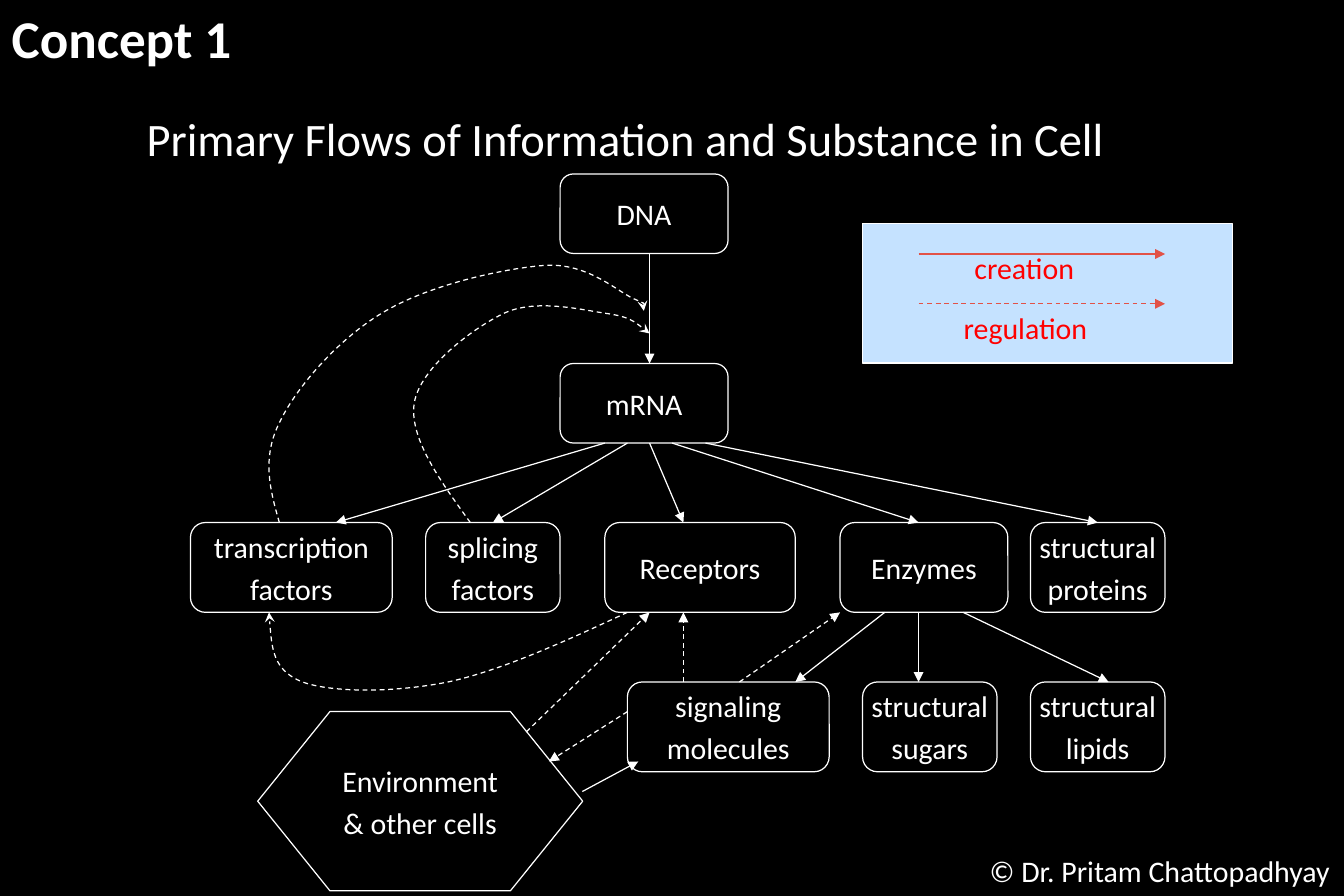
from lxml.etree import SubElement
from pptx import Presentation
from pptx.dml.color import RGBColor
from pptx.enum.dml import MSO_LINE
from pptx.enum.shapes import MSO_CONNECTOR, MSO_SHAPE
from pptx.enum.text import MSO_ANCHOR, PP_ALIGN
from pptx.oxml.ns import qn
from pptx.util import Cm, Pt

BLACK = RGBColor(0x00, 0x00, 0x00)
WHITE = RGBColor(0xFF, 0xFF, 0xFF)
RED = RGBColor(0xFF, 0x00, 0x00)
CORAL = RGBColor(0xE2, 0x52, 0x47)
PALE_BLUE = RGBColor(0xC5, 0xE2, 0xFF)


def write_text(shape, lines, size=18, color=WHITE, alignment=PP_ALIGN.CENTER, bold=False):
    frame = shape.text_frame
    frame.word_wrap = False
    for index, line in enumerate(lines):
        paragraph = frame.add_paragraph() if index else frame.paragraphs[0]
        paragraph.alignment = alignment
        if index:
            paragraph.space_before = Pt(size * 0.2)
        run = paragraph.add_run()
        run.text = line
        run.font.name = "Calibri"
        run.font.size = Pt(size)
        run.font.bold = bold
        run.font.color.rgb = color


def style_line(shape, color=WHITE, dashed=False, arrowhead=None):
    shape.line.color.rgb = color
    shape.line.width = Pt(0.75)
    if dashed:
        shape.line.dash_style = MSO_LINE.DASH
    if arrowhead:
        SubElement(shape.line._get_or_add_ln(), qn("a:tailEnd"), type=arrowhead)


presentation = Presentation()
presentation.slide_width = Cm(28.575)
presentation.slide_height = Cm(19.05)
slide = presentation.slides.add_slide(presentation.slide_layouts[6])
slide.background.fill.solid()
slide.background.fill.fore_color.rgb = BLACK

DNA_TOP, MRNA_TOP, PRODUCT_TOP, SUBSTANCE_TOP = 3.7, 7.73, 11.11, 14.5
DNA_BOTTOM, MRNA_BOTTOM, PRODUCT_BOTTOM = 5.4, 9.42, 13.02
ROUNDED, HEXAGON = MSO_SHAPE.ROUNDED_RECTANGLE, MSO_SHAPE.HEXAGON

nodes = [
    (ROUNDED, 11.91, DNA_TOP, 3.57, 1.69, ["DNA"]),
    (ROUNDED, 11.91, MRNA_TOP, 3.57, 1.69, ["mRNA"]),
    (ROUNDED, 4.05, PRODUCT_TOP, 4.29, 1.91, ["transcription", "factors"]),
    (ROUNDED, 9.05, PRODUCT_TOP, 2.86, 1.91, ["splicing", "factors"]),
    (ROUNDED, 12.86, PRODUCT_TOP, 4.05, 1.91, ["Receptors"]),
    (ROUNDED, 17.86, PRODUCT_TOP, 3.57, 1.91, ["Enzymes"]),
    (ROUNDED, 21.91, PRODUCT_TOP, 2.86, 1.91, ["structural", "proteins"]),
    (ROUNDED, 13.34, SUBSTANCE_TOP, 4.29, 1.91, ["signaling", "molecules"]),
    (ROUNDED, 18.34, SUBSTANCE_TOP, 2.86, 1.91, ["structural", "sugars"]),
    (ROUNDED, 21.91, SUBSTANCE_TOP, 2.86, 1.91, ["structural", "lipids"]),
    (HEXAGON, 5.48, 15.13, 6.91, 3.81, ["Environment", "& other cells"]),
    (MSO_SHAPE.RECTANGLE, 18.34, 4.76, 7.86, 2.96, []),
]
for kind, left, top, width, height, lines in nodes:
    node = slide.shapes.add_shape(kind, Cm(left), Cm(top), Cm(width), Cm(height))
    node.shadow.inherit = False
    node.fill.solid()
    node.fill.fore_color.rgb = BLACK if lines else PALE_BLUE
    style_line(node)
    if kind == HEXAGON:
        node.adjustments[0] = 0.403
    node.text_frame.vertical_anchor = MSO_ANCHOR.MIDDLE
    write_text(node, lines)

creation_arrows = [
    (13.81, DNA_BOTTOM, 13.81, MRNA_TOP),
    (12.86, MRNA_BOTTOM, 7.14, PRODUCT_TOP),
    (13.34, MRNA_BOTTOM, 10.48, PRODUCT_TOP),
    (13.81, MRNA_BOTTOM, 14.53, PRODUCT_TOP),
    (14.29, MRNA_BOTTOM, 19.53, PRODUCT_TOP),
    (15.0, MRNA_BOTTOM, 23.34, PRODUCT_TOP),
    (18.81, PRODUCT_BOTTOM, 16.91, SUBSTANCE_TOP),
    (19.53, PRODUCT_BOTTOM, 19.53, SUBSTANCE_TOP),
    (20.48, PRODUCT_BOTTOM, 23.57, SUBSTANCE_TOP),
    (12.38, 16.83, 13.57, 16.19),
]
regulation_arrows = [
    (14.53, SUBSTANCE_TOP, 14.53, PRODUCT_BOTTOM),
    (15.72, SUBSTANCE_TOP, 17.86, PRODUCT_BOTTOM),
    (11.19, 15.56, 13.81, PRODUCT_BOTTOM),
    (13.34, 15.13, 11.67, 16.19),
]
arrow_groups = [
    (creation_arrows, WHITE, False),
    (regulation_arrows, WHITE, True),
    ([(19.53, 5.4, 24.77, 5.4)], CORAL, False),
    ([(19.53, 6.46, 24.77, 6.46)], CORAL, True),
]
for arrows, color, dashed in arrow_groups:
    for ends in arrows:
        arrow = slide.shapes.add_connector(MSO_CONNECTOR.STRAIGHT, *map(Cm, ends))
        style_line(arrow, color, dashed, "triangle")
        SubElement(arrow._element.spPr, qn("a:effectLst"))

regulation_curves = [
    [(5.94, PRODUCT_TOP),
     (5.74, 10.41), (5.56, 9.73), (5.95, 8.97),
     (6.32, 8.2), (7.26, 7.14), (8.22, 6.6),
     (9.17, 6.05), (10.77, 5.69), (11.64, 5.64),
     (12.52, 5.61), (13.13, 6.2), (13.47, 6.35),
     (13.81, 6.5), (13.76, 6.55), (13.69, 6.61)],
    [(10.0, PRODUCT_TOP),
     (9.35, 10.21), (8.69, 9.3), (8.81, 8.56),
     (8.94, 7.82), (10.03, 6.99), (10.72, 6.66),
     (11.38, 6.35), (12.34, 6.58), (12.86, 6.66),
     (13.38, 6.73), (13.59, 6.91), (13.81, 7.09)],
    [(13.34, PRODUCT_BOTTOM),
     (12.01, 13.64), (10.67, 14.25), (9.53, 14.5),
     (8.38, 14.73), (7.06, 14.73), (6.43, 14.5),
     (5.79, 14.25), (5.77, 13.64), (5.72, PRODUCT_BOTTOM)],
]
for points in regulation_curves:
    start, *controls = [(Cm(x), Cm(y)) for x, y in points]
    builder = slide.shapes.build_freeform(*start)
    builder.add_line_segments(controls, close=False)
    curve = builder.convert_to_shape()
    curve.shadow.inherit = False
    curve.fill.background()
    style_line(curve, dashed=True, arrowhead="stealth")
    outline = curve._element.find(".//" + qn("a:path"))
    segments = outline.findall(qn("a:lnTo"))
    for first in range(0, len(segments), 3):
        bezier = SubElement(outline, qn("a:cubicBezTo"))
        for segment in segments[first:first + 3]:
            bezier.append(segment[0])
            outline.remove(segment)

labels = [
    ("Concept 1", 0, 0, 5.23, 1.63, 32, WHITE, PP_ALIGN.LEFT, True),
    ("Primary Flows of Information and Substance in Cell",
     2.87, 2.21, 21.08, 1.45, 28, WHITE, PP_ALIGN.LEFT, False),
    ("creation", 20.47, 5.18, 2.67, 1.02, 18, RED, PP_ALIGN.LEFT, False),
    ("regulation", 20.24, 6.45, 3.18, 1.02, 18, RED, PP_ALIGN.LEFT, False),
    ("© Dr. Pritam Chattopadhyay", 20.75, 18.01, 7.82, 1.02, 18, WHITE, PP_ALIGN.CENTER, False),
]
for text, left, top, width, height, size, color, alignment, bold in labels:
    label = slide.shapes.add_textbox(Cm(left), Cm(top), Cm(width), Cm(height))
    write_text(label, [text], size, color, alignment, bold)

presentation.save("out.pptx")
